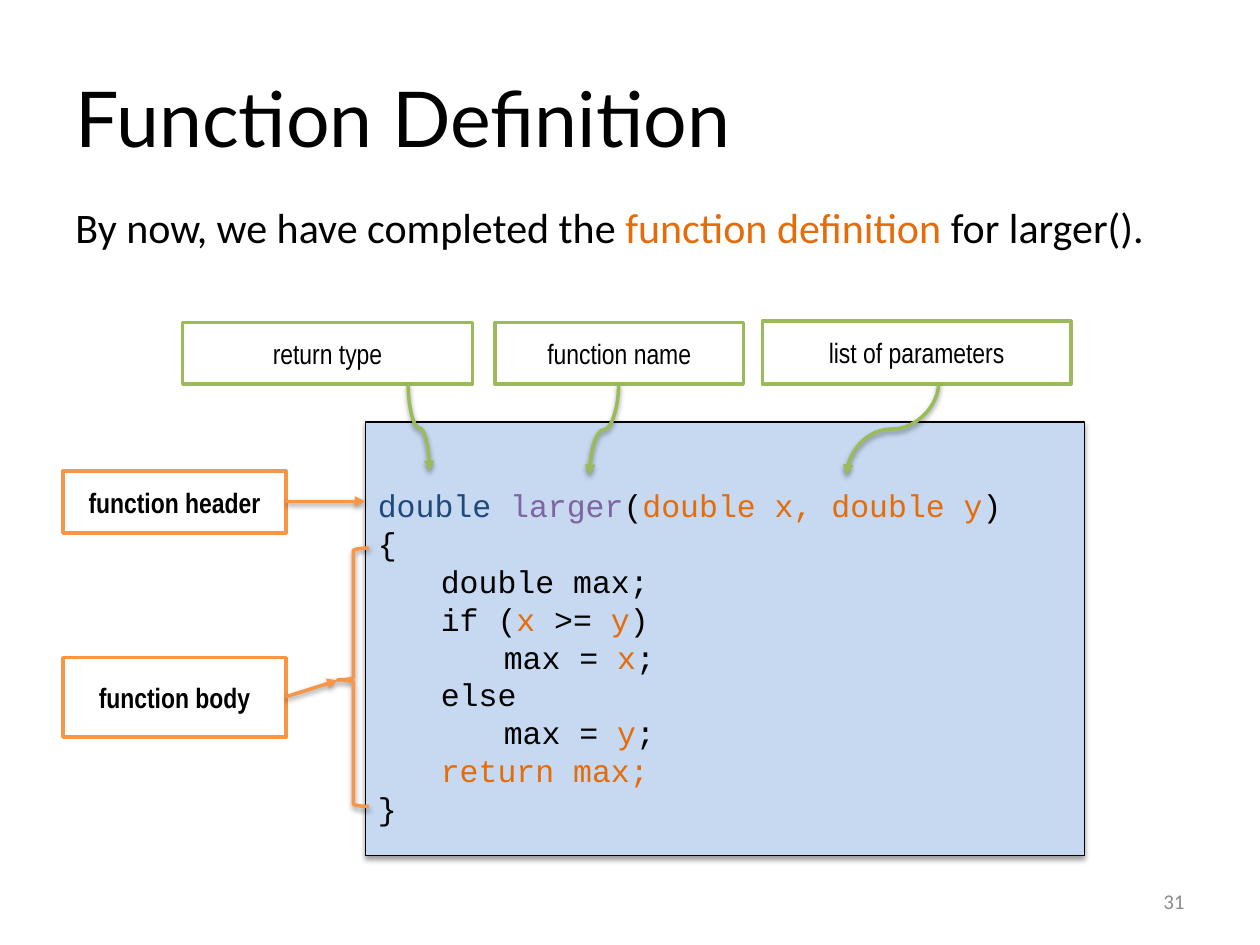
from dataclasses import dataclass

from lxml.etree import SubElement
from pptx import Presentation
from pptx.dml.color import RGBColor
from pptx.enum.shapes import MSO_CONNECTOR as Link, MSO_SHAPE as Shape
from pptx.enum.text import MSO_ANCHOR as Anchor, PP_ALIGN as Align
from pptx.oxml.ns import qn
from pptx.util import Inches, Pt


@dataclass(frozen=True)
class Theme:
    ink: str = "000000"
    paper: str = "FFFFFF"
    panel: str = "C6D9F1"
    accent: str = "E46C0A"
    keyword: str = "1F497D"
    name: str = "8064A2"
    orange: str = "F79646"
    green: str = "9BBB59"
    muted: str = "8B8B8B"
    title_size: int = 44
    body_size: int = 24
    code_size: int = 18
    label_size: int = 16
    number_size: int = 12
    title_font: str = "Lato"
    body_font: str = "Calibri"
    code_font: str = "Courier New"
    label_font: str = "Arial Narrow"


THEME = Theme()


def rgb(value):
    return RGBColor.from_string(value)


def write(frame, lines, font, size, color=THEME.ink, bold=False,
          align=Align.LEFT, anchor=Anchor.MIDDLE):
    """Fill a frame with lines, each a list of strings or (string, colour) pairs."""
    frame.word_wrap = True
    frame.vertical_anchor = anchor
    for index, line in enumerate(lines):
        paragraph = frame.add_paragraph() if index else frame.paragraphs[0]
        paragraph.alignment = align
        for part in line:
            words, tint = (part, color) if isinstance(part, str) else part
            run = paragraph.add_run()
            run.text = words
            run.font.name = font
            run.font.size = Pt(size)
            run.font.bold = bold
            run.font.color.rgb = rgb(tint)


class SlideBuilder:
    """Draws styled elements on the current slide."""

    def __init__(self, slide, theme):
        self.slide = slide
        self.theme = theme

    def title(self, words, *box):
        heading = self.slide.shapes.title
        heading.left, heading.top, heading.width, heading.height = map(Inches, box)
        write(heading.text_frame, [[words]], self.theme.title_font, self.theme.title_size)

    def text(self, lines, *box, **style):
        area = self.slide.shapes.add_textbox(*map(Inches, box))
        write(area.text_frame, lines, **style)

    def shape(self, kind, *box, fill=None, line, width=2, shadow=False):
        item = self.slide.shapes.add_shape(kind, *map(Inches, box))
        if fill:
            item.fill.solid()
            item.fill.fore_color.rgb = rgb(fill)
        else:
            item.fill.background()
        item.line.color.rgb = rgb(line)
        item.line.width = Pt(width)
        item.shadow.inherit = False
        if shadow:
            self.cast_shadow(item._element.spPr.find(qn("a:effectLst")))
        return item

    def label(self, words, *box, line, bold=False):
        tag = self.shape(Shape.RECTANGLE, *box, fill=self.theme.paper, line=line)
        write(tag.text_frame, [[words]], self.theme.label_font, self.theme.label_size,
              bold=bold, align=Align.CENTER)

    def code(self, lines, *box):
        panel = self.shape(Shape.RECTANGLE, *box, fill=self.theme.panel,
                           line=self.theme.ink, width=0.75, shadow=True)
        panel.text_frame.margin_top = Inches(0.33)
        write(panel.text_frame, lines, self.theme.code_font, self.theme.code_size)

    def brace(self, *box, tip):
        bracket = self.shape(Shape.LEFT_BRACE, *box, line=self.theme.orange, shadow=True)
        bracket.adjustments[0] = 0.083
        bracket.adjustments[1] = tip

    def arrow(self, start_x, start_y, end_x, end_y, color, kind=Link.STRAIGHT):
        ends = map(Inches, (start_x, start_y, end_x, end_y))
        link = self.slide.shapes.add_connector(kind, *ends)
        link.line.color.rgb = rgb(color)
        link.line.width = Pt(2)
        SubElement(link.line._get_or_add_ln(), qn("a:tailEnd"), type="triangle")
        self.cast_shadow(SubElement(link._element.spPr, qn("a:effectLst")))
        return link

    def curve_down(self, start_x, start_y, end_x, end_y):
        """Lay the curve on its side, then turn it so that it leaves downwards."""
        across, down = abs(end_x - start_x), end_y - start_y
        middle_x, middle_y = (start_x + end_x) / 2, (start_y + end_y) / 2
        side = 1 if end_x > start_x else -1
        reach = side * down / 2
        link = self.arrow(middle_x + reach, middle_y - across / 2,
                          middle_x - reach, middle_y + across / 2,
                          self.theme.green, Link.CURVE)
        turn = 270 if side > 0 else 90
        link._element.spPr.find(qn("a:xfrm")).set("rot", str(turn * 60000))

    def cast_shadow(self, effects):
        shadow = SubElement(effects, qn("a:outerShdw"), blurRad=str(Pt(3.1)),
                            dist=str(Pt(1.6)), dir="5400000", rotWithShape="0")
        shade = SubElement(shadow, qn("a:srgbClr"), val=self.theme.ink)
        SubElement(shade, qn("a:alpha"), val="38000")


def main():
    deck = Presentation()
    deck.slide_width, deck.slide_height = Inches(10), Inches(7.5)
    page = SlideBuilder(deck.slides.add_slide(deck.slide_layouts[5]), THEME)

    page.title("Function Definition", 0.5, 0.3, 9, 1.25)
    page.text([["By now, we have completed the ",
                ("function definition ", THEME.accent), "for larger()."]],
              0.5, 1.55, 9, 5.15, font=THEME.body_font, size=THEME.body_size,
              anchor=Anchor.TOP)

    x, y = ("x", THEME.accent), ("y", THEME.accent)
    page.code([
        [("double ", THEME.keyword), ("larger", THEME.name), "(",
         ("double x, double y", THEME.accent), ")"],
        ["{"],
        ["\tdouble max;"],
        ["\tif (", x, " >= ", y, ")"],
        ["\t\tmax = ", x, ";"],
        ["\telse"],
        ["\t\tmax = ", y, ";"],
        ["\t", ("return max;", THEME.accent)],
        ["}"],
    ], 2.9, 3.35, 5.71, 3.44)

    for words, top, height in (("function header", 3.74, 0.49),
                               ("function body", 5.22, 0.63)):
        page.label(words, 0.5, top, 1.77, height, line=THEME.orange, bold=True)
    for words, left, top, width in (("return type", 1.45, 2.56, 2.3),
                                    ("function name", 3.93, 2.56, 1.97),
                                    ("list of parameters", 6.05, 2.55, 2.45)):
        page.label(words, left, top, width, 3.05 - top, line=THEME.green)

    page.brace(2.68, 4.35, 0.25, 2.05, tip=0.51)
    page.arrow(2.27, 3.98, 2.9, 3.98, THEME.orange)
    page.arrow(2.27, 5.53, 2.68, 5.4, THEME.orange)
    page.curve_down(3.24, 3.05, 3.41, 3.74)
    page.curve_down(4.91, 3.05, 4.68, 3.77)
    page.curve_down(7.45, 3.04, 6.72, 3.77)

    page.text([["31"]], 7.17, 6.95, 2.33, 0.4, font=THEME.body_font,
              size=THEME.number_size, color=THEME.muted, align=Align.RIGHT)
    deck.save("out.pptx")


if __name__ == "__main__":
    main()
